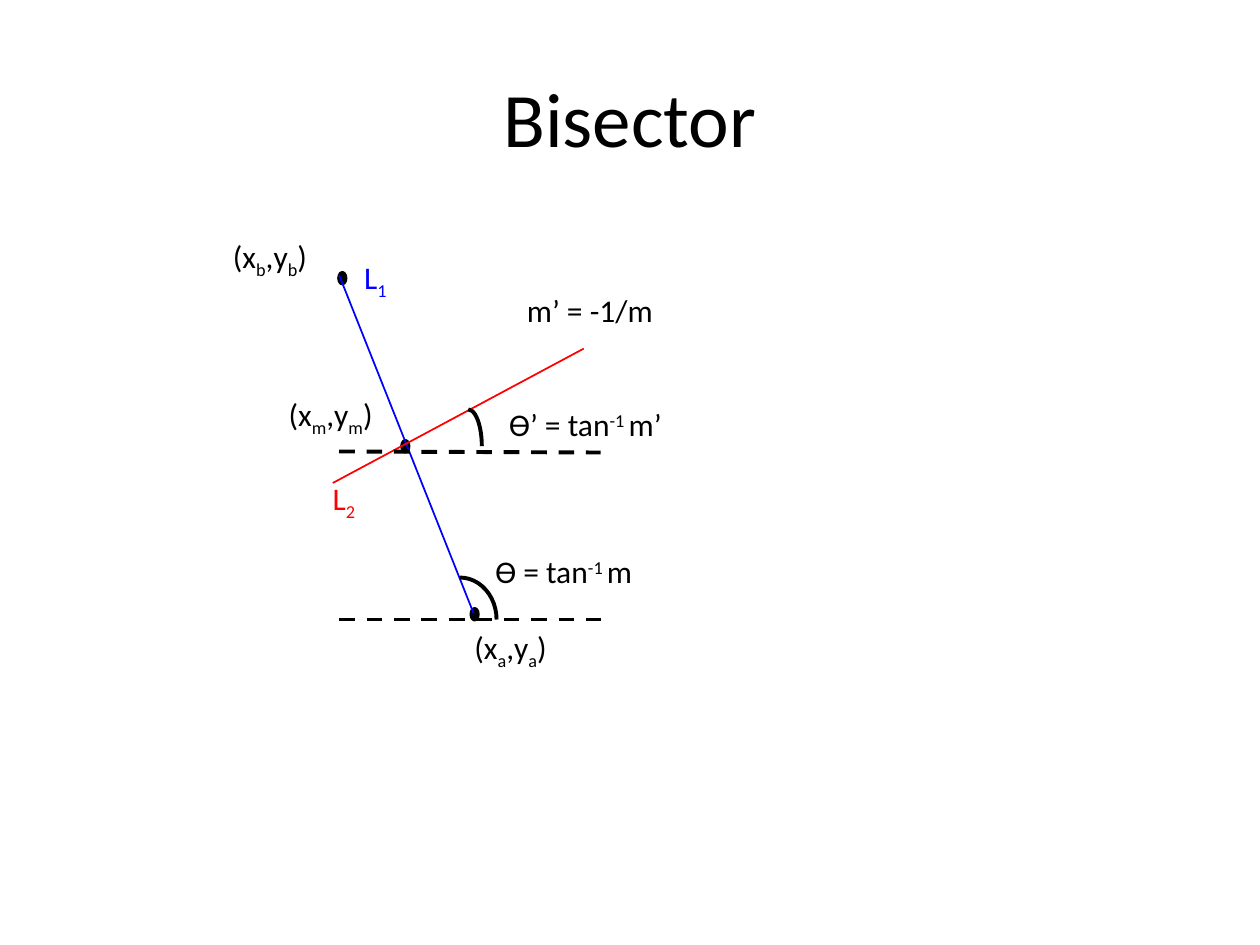
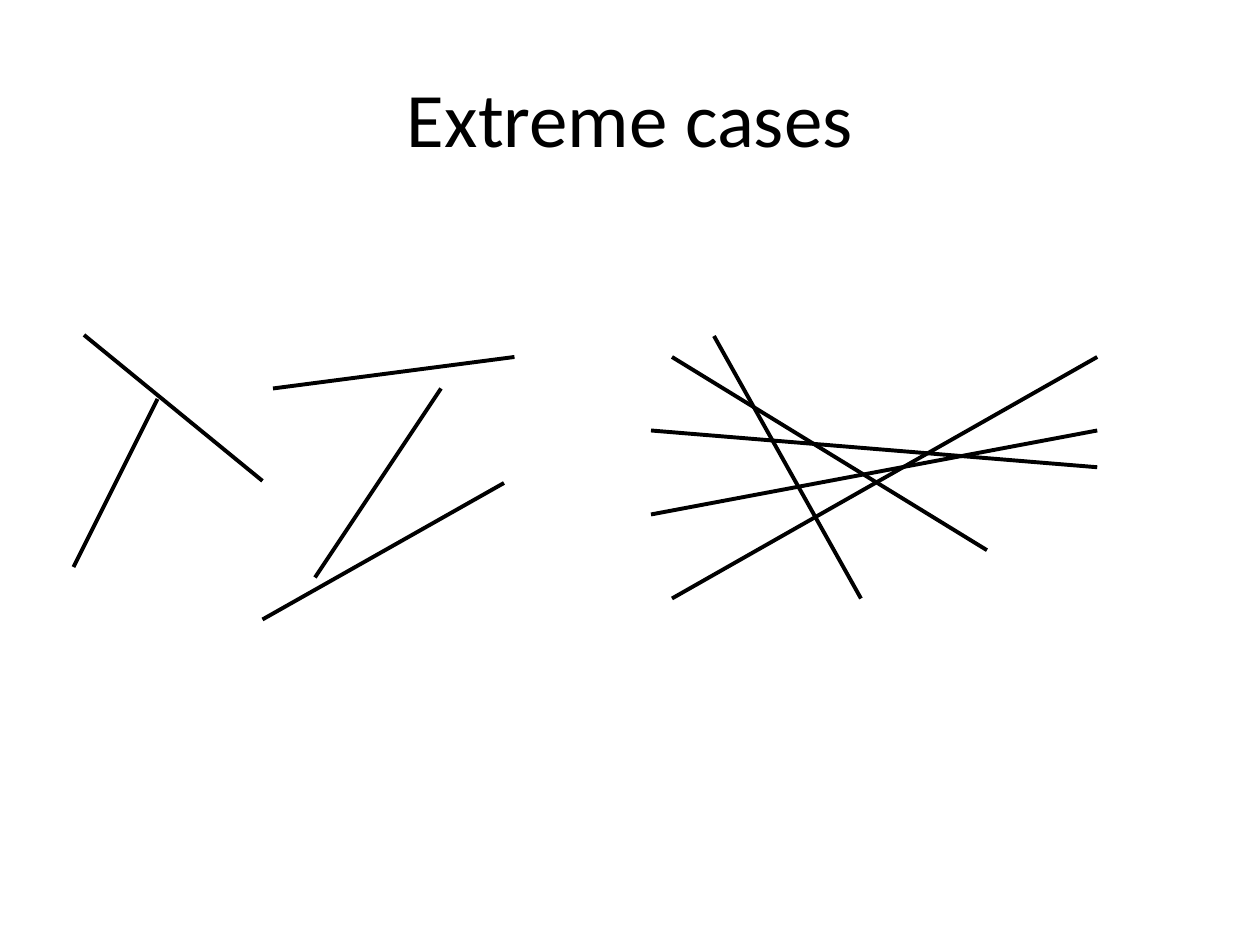
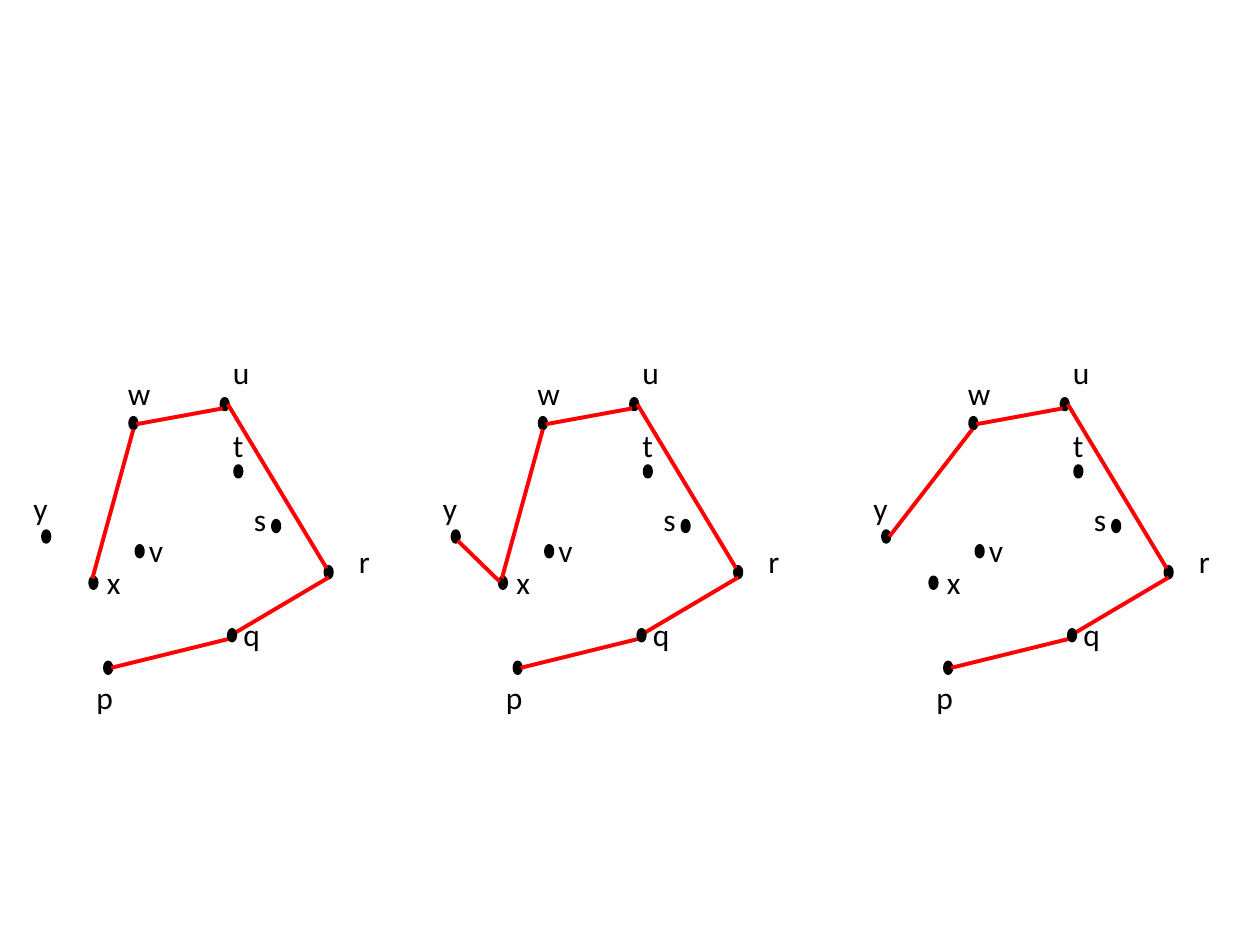
from dataclasses import dataclass
from typing import NamedTuple

from lxml.etree import SubElement
from pptx import Presentation
from pptx.dml.color import RGBColor
from pptx.enum.dml import MSO_LINE
from pptx.enum.shapes import MSO_CONNECTOR, MSO_SHAPE
from pptx.enum.text import MSO_ANCHOR, MSO_AUTO_SIZE, PP_ALIGN
from pptx.oxml.ns import qn
from pptx.slide import Slide
from pptx.util import Inches, Length, Pt


@dataclass(frozen=True)
class Theme:
    font: str = "Calibri"
    title_size: int = 44
    label_size: int = 18
    thin: float = 1
    thick: float = 2.25
    black: RGBColor = RGBColor(0, 0, 0)
    blue: RGBColor = RGBColor(0, 0, 255)
    red: RGBColor = RGBColor(255, 0, 0)


THEME = Theme()
COLUMNS, ROWS = 120, 90  # square cells on a 10 by 7.5 inch slide
DOT_W, DOT_H = 0.6, 1
LABEL_H = 4.85
SUB, BASE, SUP = -25, 0, 30


def grid(cells: float) -> Length:
    return Inches(cells * 10 / COLUMNS)


class Point(NamedTuple):
    x: float
    y: float


class Segment(NamedTuple):
    start: Point
    end: Point
    color: RGBColor = THEME.black
    width: float = THEME.thick
    dashed: bool = False


class Piece(NamedTuple):
    """A stretch of label text and its baseline shift in percent."""
    text: str
    shift: int = BASE


class Label(NamedTuple):
    at: Point
    width: float
    pieces: list[Piece]
    color: RGBColor = THEME.black
    height: float = LABEL_H


class Arc(NamedTuple):
    at: Point
    width: float
    height: float


class Vertex(NamedTuple):
    dot: Point
    label: Point


def add_title(s: Slide, text: str) -> None:
    title = s.shapes.title
    title.left, title.top = Inches(0.5), Inches(0.3)
    title.width, title.height = Inches(9), Inches(1.25)
    tf = title.text_frame
    tf.text = text
    tf.vertical_anchor = MSO_ANCHOR.MIDDLE
    p = tf.paragraphs[0]
    p.alignment = PP_ALIGN.CENTER
    p.font.name = THEME.font
    p.font.size = Pt(THEME.title_size)
    p.font.color.rgb = THEME.black


def add_segment(s: Slide, seg: Segment) -> None:
    line = s.shapes.add_connector(MSO_CONNECTOR.STRAIGHT,
                                  *map(grid, seg.start + seg.end))
    line.line.color.rgb = seg.color
    line.line.width = Pt(seg.width)
    if seg.dashed:
        line.line.dash_style = MSO_LINE.DASH
    SubElement(line._element.spPr, qn("a:effectLst"))


def add_dot(s: Slide, at: Point) -> None:
    sp = s.shapes.add_shape(MSO_SHAPE.OVAL, *map(grid, (*at, DOT_W, DOT_H)))
    sp.shadow.inherit = False
    sp.fill.solid()
    sp.fill.fore_color.rgb = THEME.black
    sp.line.color.rgb = THEME.black
    sp.line.width = Pt(THEME.thick)


def add_arc(s: Slide, arc: Arc) -> None:
    sp = s.shapes.add_shape(MSO_SHAPE.ARC,
                            *map(grid, (*arc.at, arc.width, arc.height)))
    sp.shadow.inherit = False
    sp.fill.background()
    sp.line.color.rgb = THEME.black
    sp.line.width = Pt(THEME.thick)


def add_label(s: Slide, label: Label) -> None:
    box = s.shapes.add_textbox(*map(grid, (*label.at, label.width, label.height)))
    tf = box.text_frame
    tf.word_wrap = True
    tf.auto_size = MSO_AUTO_SIZE.SHAPE_TO_FIT_TEXT
    p = tf.paragraphs[0]
    p.font.name = THEME.font
    p.font.size = Pt(THEME.label_size)
    p.font.color.rgb = label.color
    for piece in label.pieces:
        r = p.add_run()
        r.text = piece.text
        if piece.shift:
            r._r.get_or_add_rPr().set("baseline", str(piece.shift * 1000))


def coordinates(index: str) -> list[Piece]:
    return [Piece("(x"), Piece(index, SUB), Piece(",y"), Piece(index, SUB), Piece(")")]


def line_name(number: str) -> list[Piece]:
    return [Piece("L"), Piece(number, SUB)]


def inverse_tangent(angle: str, slope: str) -> list[Piece]:
    return [Piece(f"{angle} = tan"), Piece("-1 ", SUP), Piece(slope)]


BISECTOR_DOTS = [Point(32.3, 26), Point(44.9, 58), Point(38.3, 42)]
BISECTOR_LINES = [
    Segment(Point(45.1, 58.4), Point(32.3, 26.2), THEME.blue, THEME.thin),
    Segment(Point(32.3, 59), Point(57.2, 59), dashed=True),
    Segment(Point(55.6, 33.2), Point(31.7, 46), THEME.red, THEME.thin),
    Segment(Point(32.3, 43), Point(57.2, 43.1), dashed=True),
]
BISECTOR_ARCS = [Arc(Point(40.3, 55), 7, 8), Arc(Point(43.3, 39), 2.6, 7)]
BISECTOR_LABELS = [
    Label(Point(21, 22), 11.3, coordinates("b")),
    Label(Point(44, 59.2), 11.3, coordinates("a")),
    Label(Point(26.3, 37), 13.3, coordinates("m")),
    Label(Point(46, 52), 16.3, inverse_tangent("ϴ", "m")),
    Label(Point(47.3, 38), 18, inverse_tangent("ϴ’", "m’")),
    Label(Point(49, 27.1), 17.3, [Piece("m’ = -1/m")]),
    Label(Point(33.5, 24), 6.5, line_name("1"), THEME.blue),
    Label(Point(30.5, 45), 6.5, line_name("2"), THEME.red),
]

EXTREME_CASES = [
    Segment(Point(25, 45.8), Point(8, 31.9)),
    Segment(Point(15, 38), Point(7, 54)),
    Segment(Point(42, 37), Point(30, 55)),
    Segment(Point(48, 46), Point(25, 59)),
    Segment(Point(49, 34), Point(26, 37)),
    Segment(Point(104.5, 41), Point(62, 49)),
    Segment(Point(104.5, 34), Point(64, 57)),
    Segment(Point(104.5, 44.5), Point(62, 41)),
    Segment(Point(94, 52.4), Point(64, 34)),
    Segment(Point(82, 57), Point(68, 32)),
]

VERTICES = {
    "p": Vertex(Point(10, 63.1), Point(8, 64)),
    "r": Vertex(Point(31, 54), Point(33, 51)),
    "s": Vertex(Point(26, 49.6), Point(23, 47)),
    "t": Vertex(Point(22.4, 44.4), Point(21, 40)),
    "u": Vertex(Point(21.1, 38), Point(21, 33)),
    "v": Vertex(Point(13, 52), Point(13, 50)),
    "w": Vertex(Point(12.4, 39.8), Point(11, 35)),
    "y": Vertex(Point(4.1, 50.6), Point(2, 46)),
    "x": Vertex(Point(8.6, 55), Point(9, 53)),
    "q": Vertex(Point(21.8, 60), Point(22, 58)),
}
FRONT_VERTEX = "q"  # its dot lies over the edges
EDGES = {
    "pq": (Point(10.6, 63.6), Point(22, 60.8)),
    "qr": (Point(22, 60.5), Point(31.3, 55)),
    "ru": (Point(31.1, 54.1), Point(21.7, 38.5)),
    "uw": (Point(21.2, 38.9), Point(13, 40.4)),
    "wx": (Point(12.7, 40.9), Point(8.8, 55.1)),
    "xy": (Point(8.6, 55.4), Point(4.6, 51.5)),
    "wy": (Point(12.6, 40.9), Point(4.7, 51.1)),
}
COMMON_EDGES = ["pq", "qr", "ru", "uw"]
HULL_STEPS = {0: ["wx"], 39: ["wx", "xy"], 80: ["wy"]}  # last edges by left column


def add_hull_step(s: Slide, left: float, edges: list[str]) -> None:
    def shifted(point: Point) -> Point:
        return Point(point.x + left, point.y)

    for name, vertex in VERTICES.items():
        if name != FRONT_VERTEX:
            add_dot(s, shifted(vertex.dot))
        add_label(s, Label(shifted(vertex.label), 6, [Piece(name)], height=5))
    for edge in edges:
        start, end = EDGES[edge]
        add_segment(s, Segment(shifted(start), shifted(end), THEME.red))
    add_dot(s, shifted(VERTICES[FRONT_VERTEX].dot))


def main() -> None:
    prs = Presentation()
    prs.slide_width, prs.slide_height = grid(COLUMNS), grid(ROWS)
    title_only, blank = prs.slide_layouts[5], prs.slide_layouts[6]

    s = prs.slides.add_slide(title_only)
    add_title(s, "Bisector")
    for dot in BISECTOR_DOTS:
        add_dot(s, dot)
    for seg in BISECTOR_LINES:
        add_segment(s, seg)
    for arc in BISECTOR_ARCS:
        add_arc(s, arc)
    for label in BISECTOR_LABELS:
        add_label(s, label)

    s = prs.slides.add_slide(title_only)
    add_title(s, "Extreme cases")
    for seg in EXTREME_CASES:
        add_segment(s, seg)

    s = prs.slides.add_slide(blank)
    for left, last_edges in HULL_STEPS.items():
        add_hull_step(s, left, COMMON_EDGES + last_edges)

    prs.save("out.pptx")


if __name__ == "__main__":
    main()
